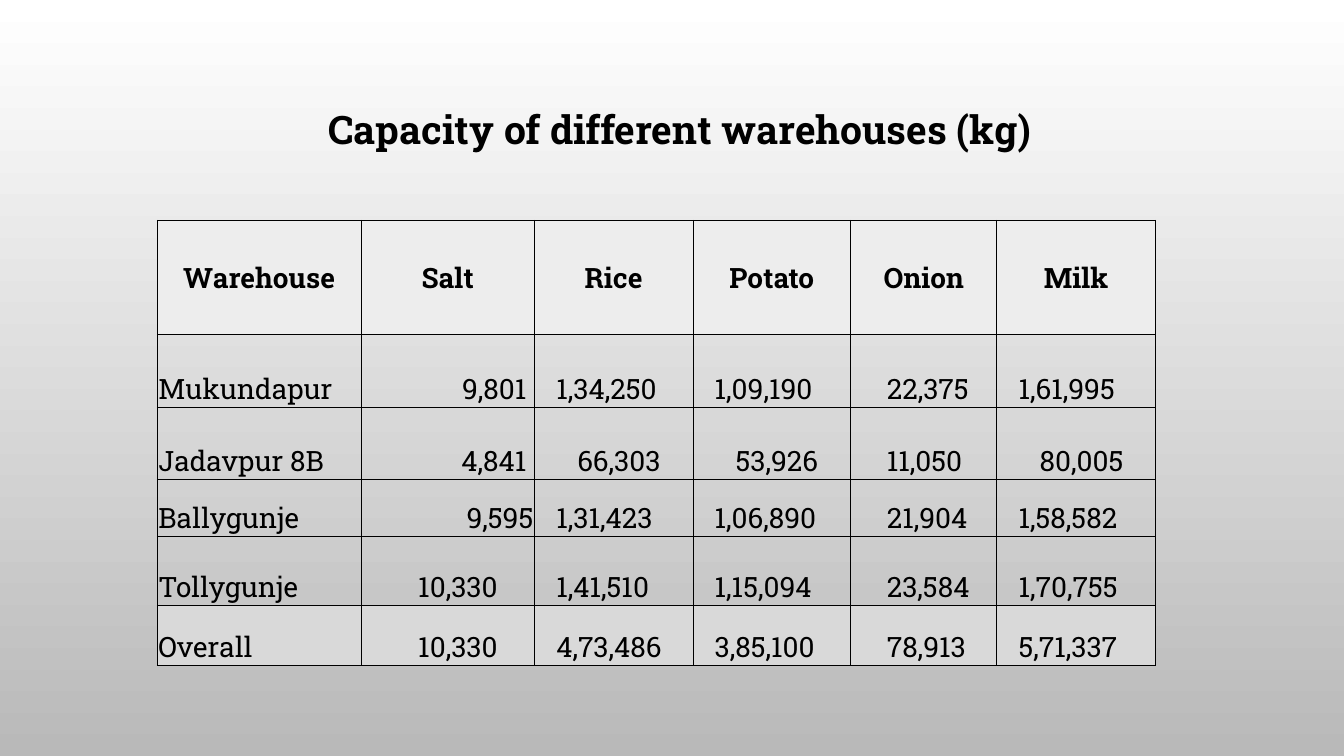
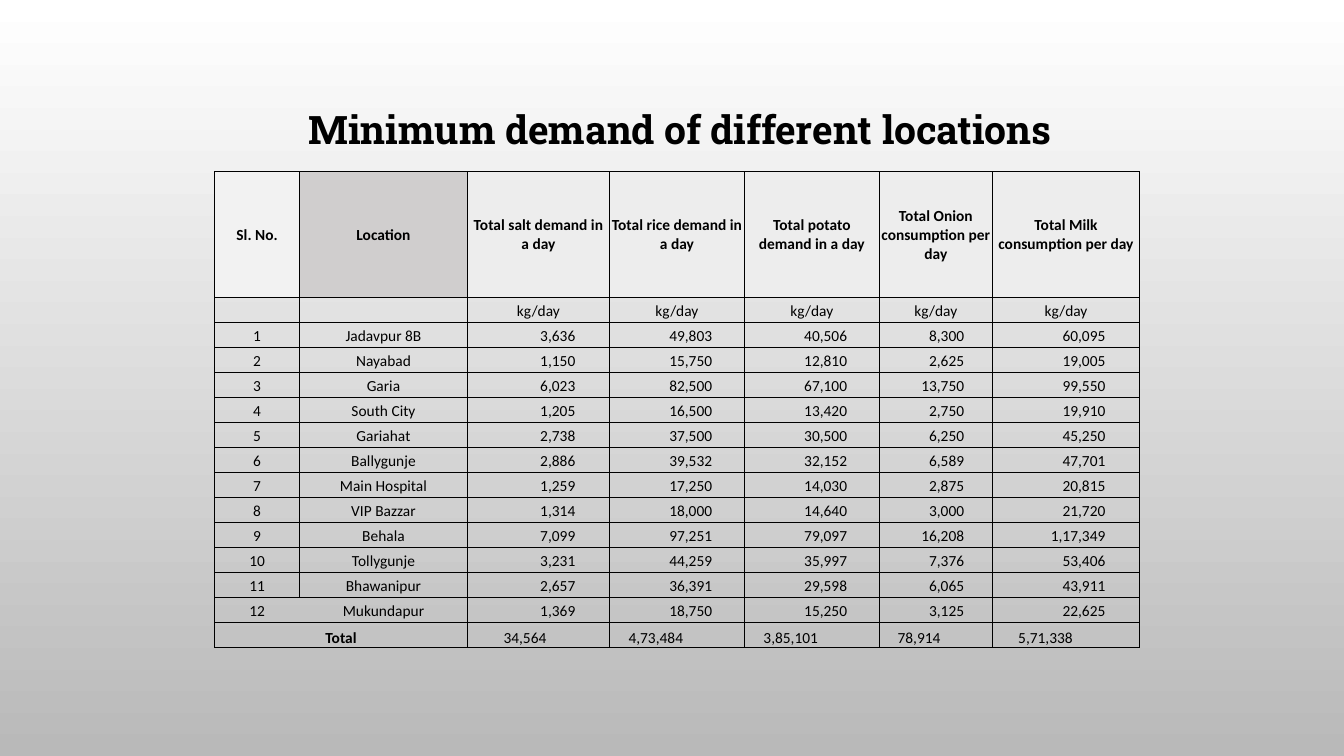
from pptx import Presentation
from pptx.dml.color import RGBColor
from pptx.enum.text import MSO_ANCHOR, MSO_AUTO_SIZE, PP_ALIGN
from pptx.oxml.ns import qn
from pptx.util import Cm, Pt
from lxml import etree

LEFT, CENTER, RIGHT = PP_ALIGN.LEFT, PP_ALIGN.CENTER, PP_ALIGN.RIGHT
MIDDLE, BOTTOM = MSO_ANCHOR.MIDDLE, MSO_ANCHOR.BOTTOM
GROW = MSO_AUTO_SIZE.SHAPE_TO_FIT_TEXT
ALIGNS = {"l": LEFT, "c": CENTER, "r": RIGHT}

# Shared look
BLACK, PALE, LIGHT, ROSE, SILVER = "000000", "EDEDED", "F2F2F2", "D0CECE", "D9D9D9"
BACKGROUND = ["FFFFFF", "B9B9B9"]
SLAB, SANS = "Roboto Slab", "Calibri"
EDGE = 0.03
BORDER_WIDTH = Pt(0.5)


def color(value):
    return RGBColor.from_string(value)


def add_borders(cell, hidden_sides):
    """Draw the four cell borders, leaving out the hidden sides."""
    properties = cell._tc.get_or_add_tcPr()
    for side in "LRTB":
        line = etree.SubElement(properties, qn(f"a:ln{side}"), w=str(BORDER_WIDTH))
        if side in hidden_sides:
            etree.SubElement(line, qn("a:noFill"))
        else:
            fill = etree.SubElement(line, qn("a:solidFill"))
            etree.SubElement(fill, qn("a:srgbClr"), val=BLACK)


# Warehouse rows: height, anchor, leading bold cells, fills, alignments, insets, texts
wide, narrow = 1.08, 0.55
plain_insets = [narrow, narrow, 0.91, narrow]
small_insets = [wide, wide, 0.91, wide]
warehouse_rows = [
    (2.87, MIDDLE, 6, [PALE] * 6, "cccccc", [EDGE] * 6,
     ["Warehouse", "Salt", "Rice", "Potato", "Onion", "Milk"]),
    (1.84, BOTTOM, 0, [None] * 6, "lrllll", [EDGE, 0.2, *plain_insets],
     ["Mukundapur", "9,801", "1,34,250", "1,09,190", "22,375", "1,61,995"]),
    (1.82, BOTTOM, 0, [None] * 6, "lrllll", [EDGE, 0.2, *small_insets],
     ["Jadavpur 8B", "4,841", "66,303", "53,926", "11,050", "80,005"]),
    (1.43, BOTTOM, 0, [None] * 6, "lrllll", [EDGE, EDGE, *plain_insets],
     ["Ballygunje", "9,595", "1,31,423", "1,06,890", "21,904", "1,58,582"]),
    (1.74, BOTTOM, 0, [None] * 6, "llllll", [EDGE, 1.44, *plain_insets],
     ["Tollygunje", "10,330", "1,41,510", "1,15,094", "23,584", "1,70,755"]),
    (1.51, BOTTOM, 0, [SILVER] * 6, "llllll", [EDGE, 1.44, *plain_insets],
     ["Overall", "10,330", "4,73,486", "3,85,100", "78,913", "5,71,337"]),
]

# Demand rows
demands = [
    ["Jadavpur 8B", "3,636", "49,803", "40,506", "8,300", "60,095"],
    ["Nayabad", "1,150", "15,750", "12,810", "2,625", "19,005"],
    ["Garia", "6,023", "82,500", "67,100", "13,750", "99,550"],
    ["South City", "1,205", "16,500", "13,420", "2,750", "19,910"],
    ["Gariahat", "2,738", "37,500", "30,500", "6,250", "45,250"],
    ["Ballygunje", "2,886", "39,532", "32,152", "6,589", "47,701"],
    ["Main Hospital", "1,259", "17,250", "14,030", "2,875", "20,815"],
    ["VIP Bazzar", "1,314", "18,000", "14,640", "3,000", "21,720"],
    ["Behala", "7,099", "97,251", "79,097", "16,208", "1,17,349"],
    ["Tollygunje", "3,231", "44,259", "35,997", "7,376", "53,406"],
    ["Bhawanipur", "2,657", "36,391", "29,598", "6,065", "43,911"],
    ["Mukundapur", "1,369", "18,750", "15,250", "3,125", "22,625"],
]
line_height = 0.63
demand_insets = [EDGE, EDGE, 0.86, 0.81, 0.81, 0.71, 0.86]
demand_rows = [
    (3.18, MIDDLE, 7, [LIGHT, ROSE] + [PALE] * 5, "ccccccc", [EDGE] * 7,
     ["Sl. No.", "Location", "Total salt demand in a day", "Total rice demand in a day",
      "Total potato demand in a day", "Total Onion consumption per day",
      "Total Milk consumption per day"]),
    (line_height, MIDDLE, 0, [None] * 7, "ccccccc", [EDGE] * 7, ["", ""] + ["kg/day"] * 5),
]
for number, demand in enumerate(demands, start=1):
    demand_rows.append((line_height, MIDDLE, 0, [None] * 7, "ccrrrrr", demand_insets,
                        [str(number), *demand]))
demand_rows.append((line_height, BOTTOM, 1, [None] * 7, "cclllll",
                    [EDGE, EDGE, 0.91, 0.48, 0.48, 0.46, 0.65],
                    ["Total", "", "34,564", "4,73,484", "3,85,101", "78,914", "5,71,338"]))

pages = [
    {"title": "Capacity of different warehouses (kg)", "left": 3.96, "top": 5.55,
     "widths": [5.14, 4.37, 3.99, 3.98, 3.68, 4.0], "font": SLAB, "size": 20,
     "rows": warehouse_rows, "hidden": {}, "merges": []},
    {"title": "Minimum demand of different locations", "left": 5.41, "top": 4.32,
     "widths": [2.14, 4.23, 3.58, 3.4, 3.4, 2.85, 3.71], "font": SANS, "size": 11,
     "rows": demand_rows, "hidden": {(13, 0): "R", (13, 1): "L"},
     "merges": [((14, 0), (14, 1))]},
]

# Deck with a gradient on the master
deck = Presentation()
deck.slide_width, deck.slide_height = Cm(33.87), Cm(19.05)
gradient = deck.slide_master.background.fill
gradient.gradient()
gradient.gradient_angle = 270
for stop, shade in zip(gradient.gradient_stops, BACKGROUND):
    stop.color.rgb = color(shade)
title_only = deck.slide_layouts[5]

for content in pages:
    page = deck.slides.add_slide(title_only)

    # Title
    title = page.shapes.title
    title.left, title.top, title.width, title.height = Cm(4.88), Cm(2.52), Cm(24.5), Cm(1.45)
    title.text_frame.text = content["title"]
    title.text_frame.auto_size = GROW
    para = title.text_frame.paragraphs[0]
    para.alignment = CENTER
    span = para.runs[0]
    for name, value in {"name": SLAB, "size": Pt(28), "bold": True}.items():
        setattr(span.font, name, value)
    span.font.color.rgb = color(BLACK)

    # Table grid
    rows, widths = content["rows"], content["widths"]
    frame = page.shapes.add_table(
        len(rows), len(widths), Cm(content["left"]), Cm(content["top"]),
        Cm(sum(widths)), Cm(sum(row[0] for row in rows)))
    table = frame.table
    table.first_row = table.horz_banding = False
    for column, width in zip(table.columns, widths):
        column.width = Cm(width)

    # Cells
    for r, (height, anchor, bold_cells, fills, aligns, insets, texts) in enumerate(rows):
        table.rows[r].height = Cm(height)
        for c, text in enumerate(texts):
            cell = table.cell(r, c)
            add_borders(cell, content["hidden"].get((r, c), ""))
            if fills[c]:
                cell.fill.solid()
                cell.fill.fore_color.rgb = color(fills[c])
            else:
                cell.fill.background()
            layout = {
                "vertical_anchor": anchor,
                "margin_left": Cm(insets[c] if aligns[c] == "l" else EDGE),
                "margin_right": Cm(insets[c] if aligns[c] == "r" else EDGE),
                "margin_top": Cm(EDGE),
                "margin_bottom": 0,
            }
            for name, value in layout.items():
                setattr(cell, name, value)
            para = cell.text_frame.paragraphs[0]
            para.alignment = ALIGNS[aligns[c]]
            if not text:
                # An empty cell keeps the row low through its end mark
                etree.SubElement(para._p, qn("a:endParaRPr"), sz=str(content["size"] * 100))
                continue
            span = para.add_run()
            span.text = text
            style = {"name": content["font"], "size": Pt(content["size"]), "bold": c < bold_cells}
            for name, value in style.items():
                setattr(span.font, name, value)
            span.font.color.rgb = color(BLACK)
    for first, last in content["merges"]:
        table.cell(*first).merge(table.cell(*last))

deck.save("out.pptx")
